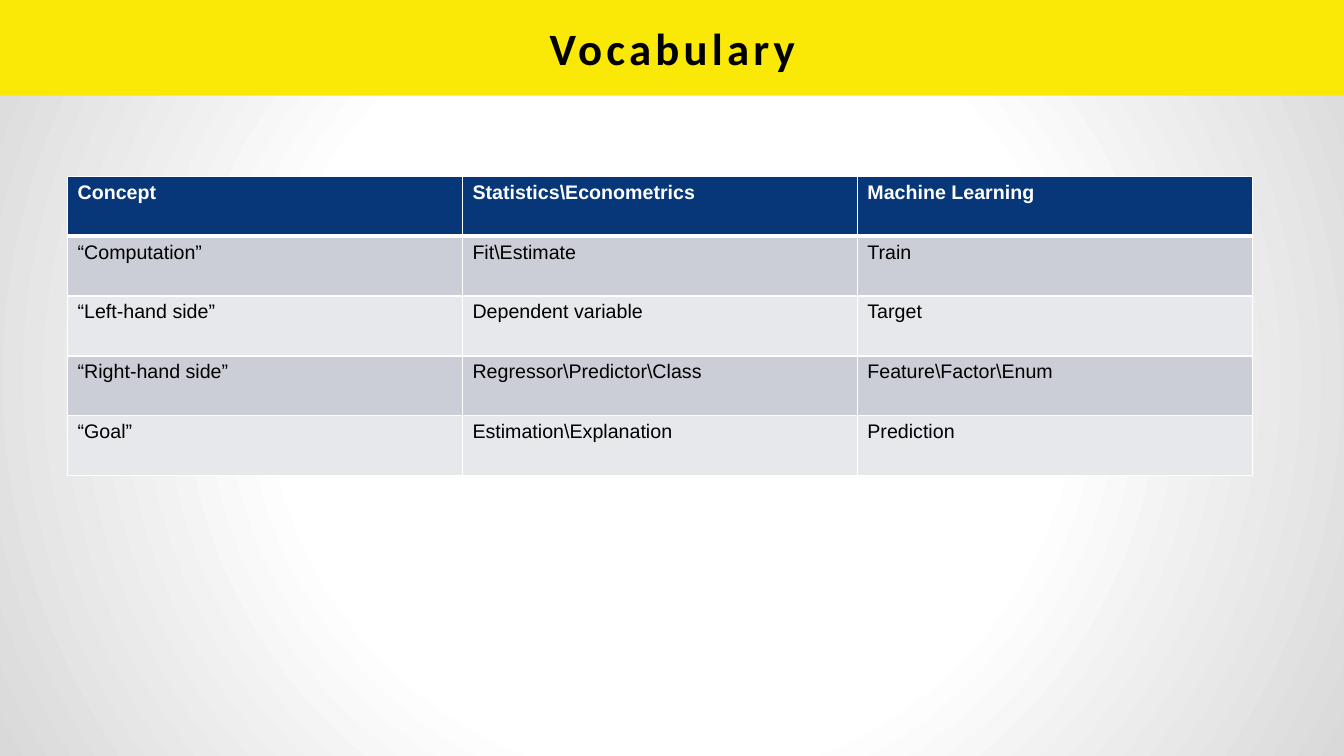
from dataclasses import dataclass

import pptx
import pptx.dml.color
import pptx.enum.shapes
import pptx.enum.text
import pptx.oxml
import pptx.oxml.ns
import pptx.slide
import pptx.table
import pptx.text.text
import pptx.util

Inches = pptx.util.Inches
Align = pptx.enum.text.PP_ALIGN
Anchor = pptx.enum.text.MSO_ANCHOR


@dataclass(frozen=True)
class Theme:
    banner: str = "FAE807"
    header: str = "073779"
    bands: tuple[str, str] = ("CCCED7", "E7E8EC")
    dark: str = "000000"
    light: str = "FFFFFF"
    edge: str = "D9D9D9"
    title_font: str = "Calibri"
    body_font: str = "Arial"
    title_size: int = 32
    body_size: int = 14
    rule: int = 1
    header_rule: int = 3


@dataclass(frozen=True)
class Term:
    concept: str
    statistics: str
    machine_learning: str

    def texts(self) -> tuple[str, str, str]:
        return self.concept, self.statistics, self.machine_learning


THEME = Theme()
HEADINGS = Term("Concept", "Statistics\\Econometrics", "Machine Learning")
TERMS = [
    Term("“Computation”", "Fit\\Estimate", "Train"),
    Term("“Left-hand side”", "Dependent variable", "Target"),
    Term("“Right-hand side”", "Regressor\\Predictor\\Class", "Feature\\Factor\\Enum"),
    Term("“Goal”", "Estimation\\Explanation", "Prediction"),
]


def rgb(color: str) -> pptx.dml.color.RGBColor:
    return pptx.dml.color.RGBColor.from_string(color)


def write(tf: pptx.text.text.TextFrame, text: str, *, font: str = THEME.body_font,
          size: int = THEME.body_size, color: str = THEME.dark, bold: bool = False,
          align: Align = Align.LEFT, spacing: int = 0) -> None:
    """Fill the first paragraph; spacing is the letter spacing in points."""
    p = tf.paragraphs[0]
    p.alignment = align
    r = p.add_run()
    r.text = text
    r.font.name = font
    r.font.size = pptx.util.Pt(size)
    r.font.bold = bold
    r.font.color.rgb = rgb(color)
    if spacing:
        r._r.get_or_add_rPr().set("spc", str(spacing * 100))


def paint_background(s: pptx.slide.Slide) -> None:
    """Radial gradient, white to the middle and grey at the edges."""
    fill = s.background.fill
    fill.gradient()
    for stop, position, color in zip(fill.gradient_stops, (0.5, 1), (THEME.light, THEME.edge)):
        stop.position = position
        stop.color.rgb = rgb(color)
    grad = s._element.find(".//" + pptx.oxml.ns.qn("a:gradFill"))
    circle = pptx.oxml.parse_xml(
        f'<a:path {pptx.oxml.ns.nsdecls("a")} path="circle">'
        '<a:fillToRect l="50000" t="50000" r="50000" b="50000"/></a:path>')
    grad.replace(grad.find(pptx.oxml.ns.qn("a:lin")), circle)


def add_banner(s: pptx.slide.Slide, width: int) -> None:
    banner = s.shapes.add_shape(pptx.enum.shapes.MSO_SHAPE.RECTANGLE, 0, 0, width, Inches(0.95))
    banner.shadow.inherit = False
    banner.fill.solid()
    banner.fill.fore_color.rgb = rgb(THEME.banner)
    banner.line.fill.background()

    title = s.shapes.add_textbox(Inches(0.67), Inches(-0.01), Inches(12), Inches(0.96))
    tf = title.text_frame
    tf.word_wrap = True
    tf.vertical_anchor = Anchor.MIDDLE
    write(tf, "Vocabulary", font=THEME.title_font, size=THEME.title_size,
          bold=True, align=Align.CENTER, spacing=3)


def add_borders(cell: pptx.table._Cell, top: int, bottom: int) -> None:
    tc_pr = cell._tc.get_or_add_tcPr()
    widths = {"lnL": THEME.rule, "lnR": THEME.rule, "lnT": top, "lnB": bottom}
    for side, width in widths.items():
        tc_pr.append(pptx.oxml.parse_xml(
            f'<a:{side} {pptx.oxml.ns.nsdecls("a")} w="{pptx.util.Pt(width)}">'
            f'<a:solidFill><a:srgbClr val="{THEME.light}"/></a:solidFill></a:{side}>'))


def add_vocabulary(s: pptx.slide.Slide) -> None:
    rows = [HEADINGS, *TERMS]
    table = s.shapes.add_table(len(rows), len(HEADINGS.texts()), Inches(0.67), Inches(1.75),
                               Inches(11.75), Inches(2.97)).table
    for i, term in enumerate(rows):
        is_header = i == 0
        top = THEME.header_rule if i == 1 else THEME.rule
        bottom = THEME.header_rule if is_header else THEME.rule
        for j, text in enumerate(term.texts()):
            cell = table.cell(i, j)
            add_borders(cell, top, bottom)
            cell.fill.solid()
            cell.fill.fore_color.rgb = rgb(THEME.header if is_header else THEME.bands[(i - 1) % 2])
            write(cell.text_frame, text, bold=is_header,
                  color=THEME.light if is_header else THEME.dark)


def main() -> None:
    prs = pptx.Presentation()
    prs.slide_width, prs.slide_height = Inches(13.33), Inches(7.5)
    s = prs.slides.add_slide(prs.slide_layouts[6])
    paint_background(s)
    add_banner(s, prs.slide_width)
    add_vocabulary(s)
    prs.save("out.pptx")


if __name__ == "__main__":
    main()
